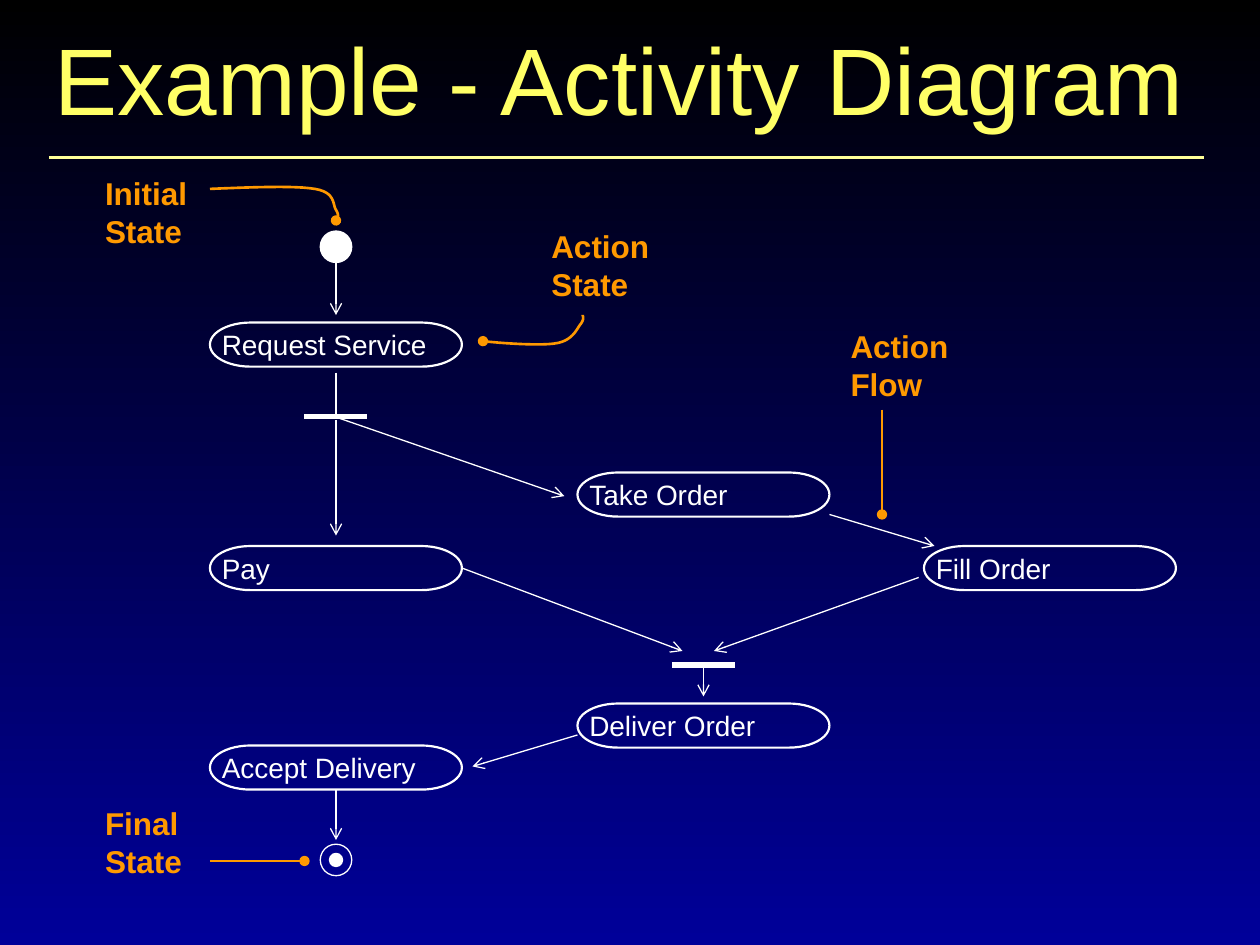
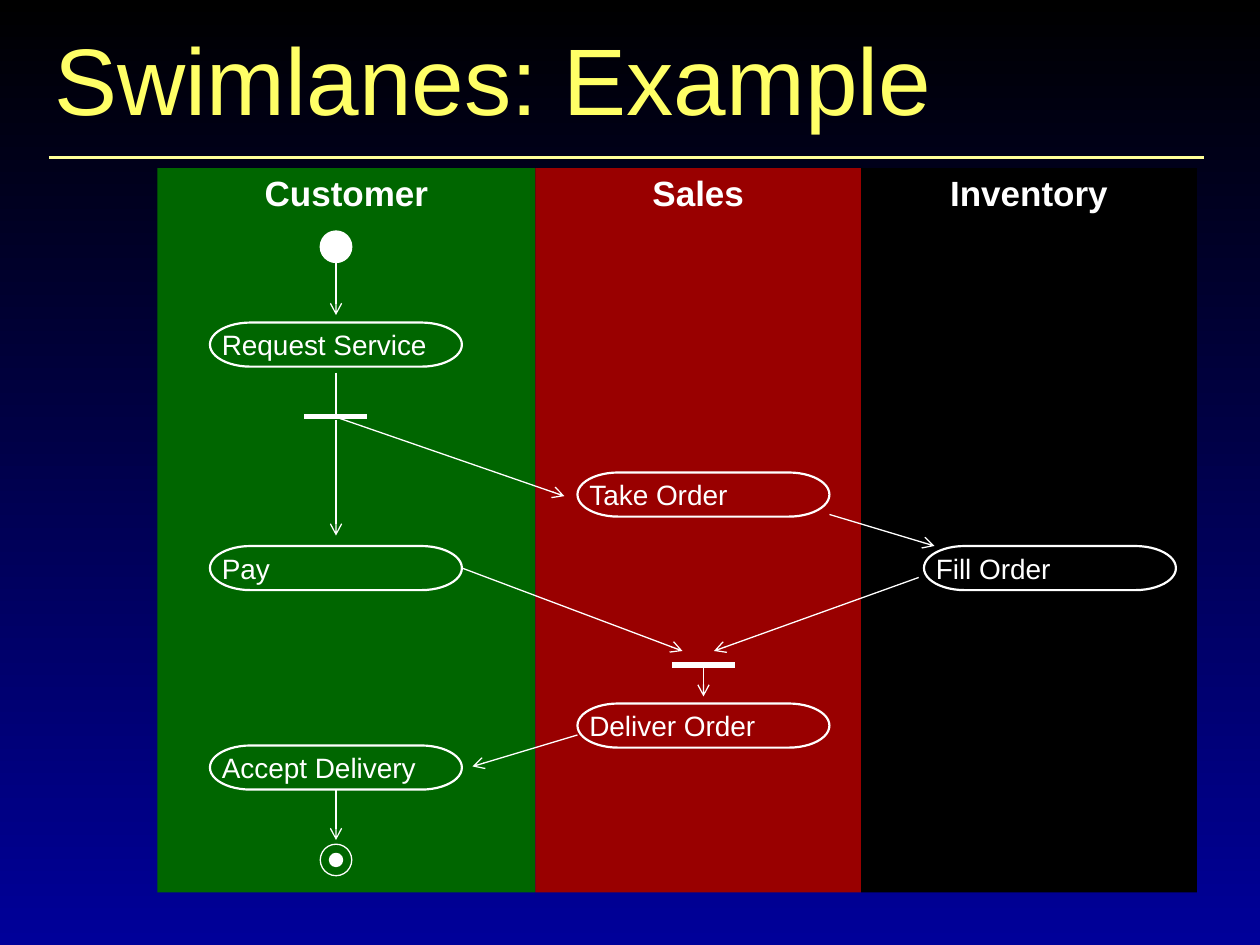
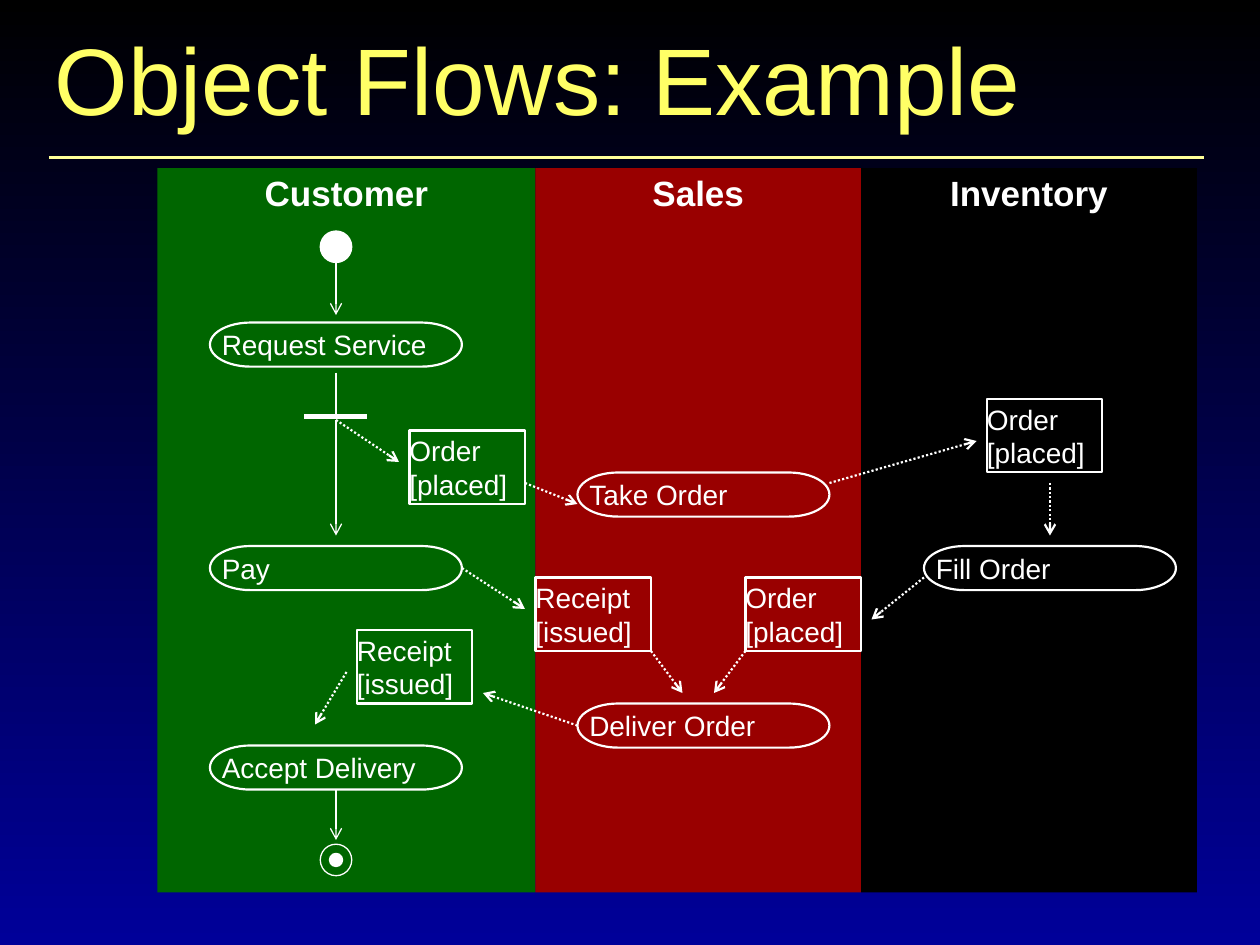
"""Builds three slides that develop one activity diagram: states, swimlanes, object flows."""
from lxml import etree
from pptx import Presentation
from pptx.dml.color import RGBColor
from pptx.enum import dml, shapes, text
from pptx.oxml.ns import qn
from pptx.util import Pt

FONT = "Arial"
COLORS = {"white": "FFFFFF", "title": "FFFF66", "rule": "FFFF99", "callout": "FF9900",
          "top": "000000", "bottom": "000099",
          "customer": "006600", "sales": "990000", "inventory": "000000"}

SLIDES = [
    {"title": "Example - Activity Diagram", "callouts": True, "lanes": False, "objects": False},
    {"title": "Swimlanes: Example", "callouts": False, "lanes": True, "objects": False},
    {"title": "Object Flows: Example", "callouts": False, "lanes": True, "objects": True},
]

LANE_LEFT, LANE_TOP, LANE_HEIGHT = 90, 96, 414
LANES = [("Customer", 216, 108, "customer"), ("Sales", 186, 68, "sales"),
         ("Inventory", 192, 106, "inventory")]

ACTION_SIZE = (144, 25.2)
ACTIONS = [("Request Service", 120, 184.3), ("Take Order", 330, 270), ("Pay", 120, 312),
           ("Fill Order", 528, 312), ("Deliver Order", 330, 402), ("Accept Delivery", 120, 426)]
INITIAL, FINAL = (192, 141), (192, 491.4)

FORK, JOIN = (174, 238, 210, 238), (384, 380, 420, 380)
FORK_STEM = (192, 213, 192, 237)
SHARED_FLOWS = [(192, 150, 192, 180), (192, 450, 192, 480), (192, 240, 192, 306)]
ACTION_FLOWS = [(191, 238, 322.5, 283.5), (474, 294, 534, 312), (330, 420, 270, 438),
                (525, 330, 408, 372), (264, 324, 390, 372), (402, 380, 402, 398)]

OBJECT_SIZE = (66, 42)
OBJECTS = [("Order [placed]", 234, 246), ("Order [placed]", 564, 228),
           ("Order [placed]", 426, 330), ("Receipt [issued]", 306, 330),
           ("Receipt [issued]", 204, 360)]
OBJECT_FLOWS = [(192, 240, 228, 264), (300, 276, 330, 288), (474, 276, 558, 252),
                (600, 276, 600, 306), (528, 330, 498, 354), (426, 372, 408, 396),
                (372, 372, 390, 396), (264, 324, 300, 348), (330, 414, 276, 396),
                (198, 384, 180, 414)]

CALLOUTS = [("Initial State", 60, 96, 54), ("Action\nState", 315, 126, 60),
            ("Action\nFlow", 486, 183.5, 60), ("Final State", 60, 456, 54)]
CALLOUT_LINES = [(504, 234, 504, 294), (120, 492, 174, 492)]
CALLOUT_CURVES = [
    [(120, 108), (144, 107), (168, 106), (180, 108), (192, 110), (190, 117), (192, 120),
     (194, 123), (193, 125), (192, 126)],
    [(333, 180), (333, 181), (334, 182), (332, 185), (330, 187), (328, 194), (319, 196),
     (310, 198), (285, 196), (276, 195)],
]
CURVE_STEPS = 12


def color(key):
    return RGBColor.from_string(COLORS[key])


def write(frame, words, size, key="white", bold=False, align=text.PP_ALIGN.LEFT):
    paragraph = frame.paragraphs[0]
    paragraph.alignment = align
    for number, row in enumerate(words.split("\n")):
        if number:
            paragraph.add_line_break()
        run = paragraph.add_run()
        run.text = row
        run.font.name, run.font.size, run.font.bold = FONT, Pt(size), bold
        run.font.color.rgb = color(key)


def set_frame(frame):
    frame.word_wrap = True
    frame.vertical_anchor = text.MSO_ANCHOR.MIDDLE
    frame.margin_left = frame.margin_right = 0
    frame.margin_top = frame.margin_bottom = Pt(3.6)


def set_line(part, key, width, head=None, dotted=False):
    part.line.color.rgb = color(key)
    part.line.width = Pt(width)
    if dotted:
        part.line.dash_style = dml.MSO_LINE.ROUND_DOT
    if head:
        outline = part.element.spPr.find(qn("a:ln"))
        etree.SubElement(outline, qn("a:tailEnd"), type=head)


def add_line(slide, ends, key="white", width=0.75, head=None, dotted=False):
    line = slide.shapes.add_connector(shapes.MSO_CONNECTOR.STRAIGHT, *map(Pt, ends))
    set_line(line, key, width, head, dotted)
    etree.SubElement(line.element.spPr, qn("a:effectLst"))
    return line


def add_outline(slide, preset, box, width=None, fill=None):
    outline = slide.shapes.add_shape(preset, *map(Pt, box))
    outline.shadow.inherit = False
    if fill:
        outline.fill.solid()
        outline.fill.fore_color.rgb = color(fill)
    else:
        outline.fill.background()
    if width:
        set_line(outline, "white", width)
    else:
        outline.line.fill.background()
    return outline


def add_labelled(slide, preset, items, size):
    added = []
    for words, left, top in items:
        box = add_outline(slide, preset, (left, top, *size), 1.25)
        set_frame(box.text_frame)
        write(box.text_frame, words, 16)
        added.append(box)
    return added


def add_circle(slide, center, diameter, fill=None):
    corner = [middle - diameter / 2 for middle in center]
    add_outline(slide, shapes.MSO_SHAPE.OVAL, (*corner, diameter, diameter), 0.75, fill)


def add_flow(slide, ends, actions, width=0.75, dotted=False):
    flow = add_line(slide, ends, width=width, head="arrow", dotted=dotted)
    width, height = ACTION_SIZE
    sides = [(width / 2, 0), (0, height / 2), (width / 2, height), (width, height / 2)]
    for action, (_, left, top) in zip(actions, ACTIONS):
        for site, (dx, dy) in enumerate(sides):
            if max(abs(left + dx - ends[0]), abs(top + dy - ends[1])) < 2:
                flow.begin_connect(action, site)


def add_lanes(slide):
    left = LANE_LEFT
    for name, width, label_width, fill in LANES:
        add_outline(slide, shapes.MSO_SHAPE.RECTANGLE,
                    (left, LANE_TOP, width, LANE_HEIGHT), fill=fill)
        heading = slide.shapes.add_textbox(Pt(left + (width - label_width) / 2),
                                           Pt(LANE_TOP - 1.7), Pt(label_width), Pt(31))
        heading.text_frame.word_wrap = False
        heading.text_frame.auto_size = text.MSO_AUTO_SIZE.SHAPE_TO_FIT_TEXT
        write(heading.text_frame, name, 20, bold=True, align=text.PP_ALIGN.CENTER)
        left += width


def curve_points(knots):
    for first in range(0, len(knots) - 1, 3):
        for step in range(1, CURVE_STEPS + 1):
            t = step / CURVE_STEPS
            weights = ((1 - t) ** 3, 3 * t * (1 - t) ** 2, 3 * t * t * (1 - t), t ** 3)
            yield tuple(Pt(sum(w * knot[axis] for w, knot in zip(weights, knots[first:first + 4])))
                        for axis in (0, 1))


def add_callouts(slide):
    for words, left, top, width in CALLOUTS:
        callout = slide.shapes.add_textbox(Pt(left), Pt(top), Pt(width), Pt(50.4))
        set_frame(callout.text_frame)
        write(callout.text_frame, words, 18, "callout", bold=True)
    for ends in CALLOUT_LINES:
        add_line(slide, ends, "callout", 1.25, "oval")
    for knots in CALLOUT_CURVES:
        builder = slide.shapes.build_freeform(*map(Pt, knots[0]))
        builder.add_line_segments(list(curve_points(knots)), close=False)
        pointer = builder.convert_to_shape()
        pointer.shadow.inherit = False
        pointer.fill.background()
        set_line(pointer, "callout", 1.5, "oval")


def add_diagram(slide, with_objects):
    actions = add_labelled(slide, shapes.MSO_SHAPE.FLOWCHART_TERMINATOR, ACTIONS, ACTION_SIZE)
    add_circle(slide, INITIAL, 18, "white")
    add_circle(slide, FINAL, 18)
    add_circle(slide, FINAL, 7.5, "white")
    add_line(slide, FORK_STEM)
    add_line(slide, FORK, width=3)
    for ends in SHARED_FLOWS:
        add_flow(slide, ends, actions)
    if with_objects:
        add_labelled(slide, shapes.MSO_SHAPE.RECTANGLE, OBJECTS, OBJECT_SIZE)
        for ends in OBJECT_FLOWS:
            add_flow(slide, ends, actions, 1.25, dotted=True)
    else:
        add_line(slide, JOIN, width=3)
        for ends in ACTION_FLOWS:
            add_flow(slide, ends, actions)


def set_master(master):
    fill = master.background.fill
    fill.gradient()
    fill.gradient_angle = 270
    for stop, position, key in zip(fill.gradient_stops, (0, 1), ("top", "bottom")):
        stop.position = position
        stop.color.rgb = color(key)


def add_title(slide, words):
    title = slide.shapes.title
    title.left, title.top, title.width, title.height = map(Pt, (24, 18, 678, 52.5))
    title.text_frame.auto_size = text.MSO_AUTO_SIZE.NONE
    title.text_frame.vertical_anchor = text.MSO_ANCHOR.MIDDLE
    write(title.text_frame, words, 54, "title")


def main():
    deck = Presentation()
    deck.slide_width, deck.slide_height = Pt(720), Pt(540)
    set_master(deck.slide_master)
    for content in SLIDES:
        slide = deck.slides.add_slide(deck.slide_layouts[5])
        add_title(slide, content["title"])
        if content["lanes"]:
            add_lanes(slide)
        add_diagram(slide, content["objects"])
        if content["callouts"]:
            add_callouts(slide)
    rule = add_line(deck.slides[0], (28, 90, 688, 90), "rule", 2.25)
    deck.slide_master.shapes.element.append(rule.element)
    deck.save("out.pptx")


if __name__ == "__main__":
    main()
